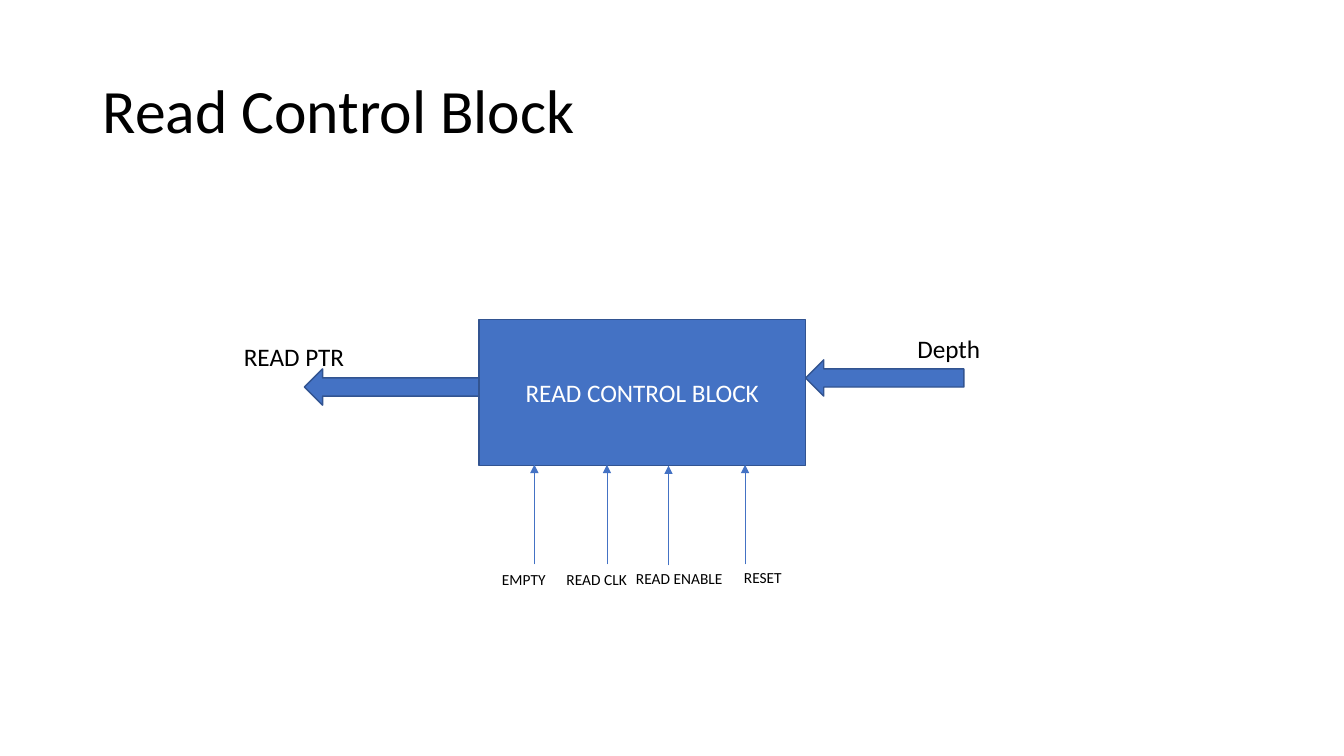
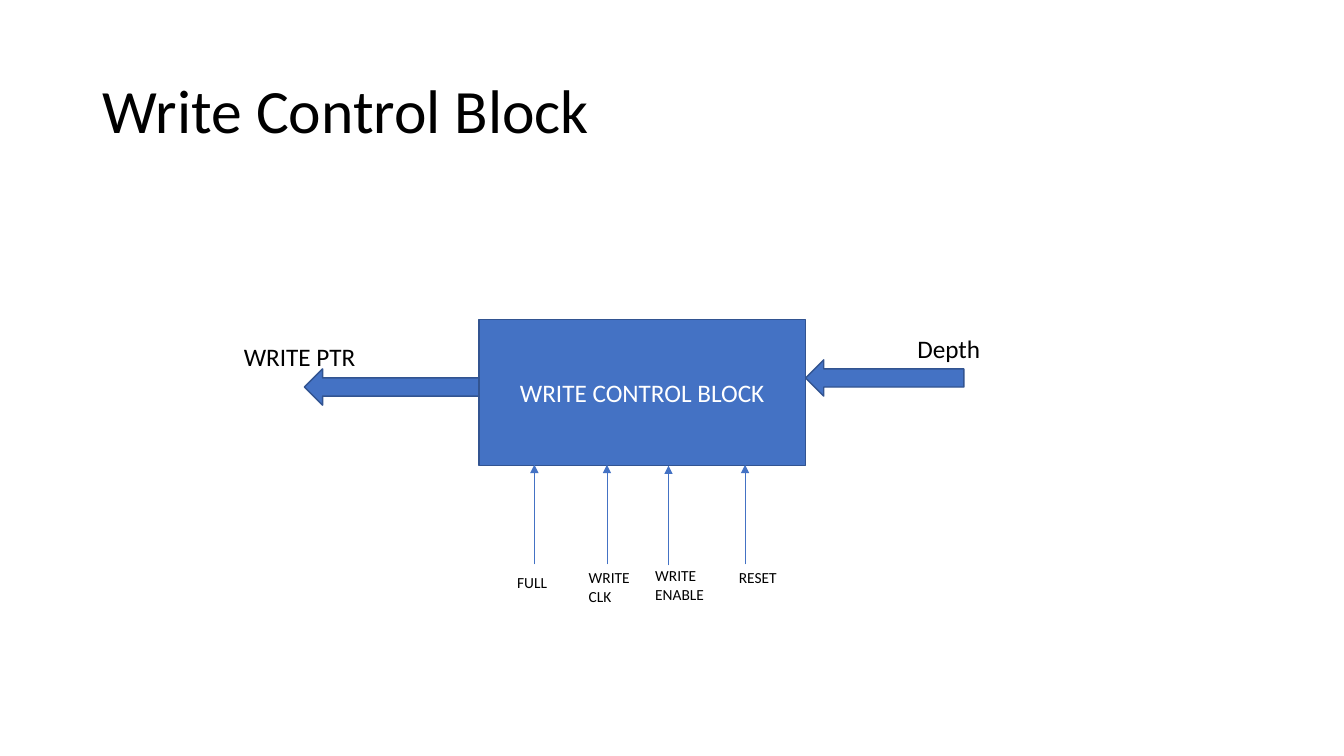
from dataclasses import dataclass

from lxml import etree
from pptx import Presentation
from pptx.dml.color import RGBColor
from pptx.enum.shapes import MSO_CONNECTOR, MSO_SHAPE
from pptx.enum.text import MSO_ANCHOR, MSO_AUTO_SIZE, PP_ALIGN
from pptx.oxml.ns import qn
from pptx.util import Emu, Pt

RECTANGLE = MSO_SHAPE.RECTANGLE
LEFT_ARROW = MSO_SHAPE.LEFT_ARROW
STRAIGHT = MSO_CONNECTOR.STRAIGHT
LEFT, CENTER = PP_ALIGN.LEFT, PP_ALIGN.CENTER
TOP, MIDDLE = MSO_ANCHOR.TOP, MSO_ANCHOR.MIDDLE
NO_FIT, GROW = MSO_AUTO_SIZE.NONE, MSO_AUTO_SIZE.SHAPE_TO_FIT_TEXT


@dataclass(frozen=True)
class Theme:
    font: str = "Calibri"
    fill: RGBColor = RGBColor(0x44, 0x72, 0xC4)
    outline: RGBColor = RGBColor(0x32, 0x54, 0x91)
    dark: RGBColor = RGBColor(0, 0, 0)
    light: RGBColor = RGBColor(255, 255, 255)
    title_size: int = 44
    body_size: int = 18
    signal_size: int = 11
    outline_width: float = 1
    signal_width: float = 0.5


THEME = Theme()
SLIDE_SIZE = (1333, 750)
TITLE_BOX = (92, 40, 1150, 145)
BLOCK_BOX = (475, 317, 324, 145)
OUTPUT_ARROW = (302, 366, 173, 36)
INPUT_ARROW = (799, 357, 157, 36)
OUTPUT_LABEL = (232, 334, 147, 40)
INPUT_LABEL = (900, 326, 115, 40)
SIGNALS = [(530, 461), (602, 461), (663, 462), (739, 461)]
SIGNAL_LENGTH = 99
SIGNAL_LABEL_WIDTHS = [106, 85, 110, 70]
LINE_HEIGHT = 29

SLIDES = [
    {
        "title": "Read Control Block",
        "block": "READ CONTROL BLOCK",
        "output": "READ PTR",
        "input": "Depth",
        "signals": [("EMPTY", 488, 561), ("READ CLK", 552, 561),
                    ("READ ENABLE", 621, 560), ("RESET", 728, 559)],
    },
    {
        "title": "Write Control Block",
        "block": "WRITE CONTROL BLOCK",
        "output": "WRITE PTR",
        "input": "Depth",
        "signals": [("FULL", 503, 564), ("WRITE CLK", 574, 559),
                    ("WRITE ENABLE", 640, 557), ("RESET", 723, 559)],
    },
]


def px(value):
    return Emu(value * 9144)


def scaled(box):
    return [px(value) for value in box]


def write(shape, text, size, color, alignment=LEFT, anchor=TOP, fit=NO_FIT):
    frame = shape.text_frame
    frame.text = text
    frame.word_wrap = True
    frame.auto_size = fit
    frame.vertical_anchor = anchor
    paragraph = frame.paragraphs[0]
    paragraph.alignment = alignment
    paragraph.font.name = THEME.font
    paragraph.font.size = Pt(size)
    paragraph.font.color.rgb = color
    return paragraph


def add_title(slide, text):
    title = slide.shapes.title
    title.left, title.top, title.width, title.height = scaled(TITLE_BOX)
    paragraph = write(title, text, THEME.title_size, THEME.dark, anchor=MIDDLE)
    paragraph.line_spacing = 0.9


def add_figure(slide, kind, box):
    shape = slide.shapes.add_shape(kind, *scaled(box))
    shape.shadow.inherit = False
    shape.fill.solid()
    shape.fill.fore_color.rgb = THEME.fill
    shape.line.color.rgb = THEME.outline
    shape.line.width = Pt(THEME.outline_width)
    return shape


def add_label(slide, text, box, size):
    label = slide.shapes.add_textbox(*scaled(box))
    write(label, text, size, THEME.dark, fit=GROW)


def add_signal_arrow(slide, x, tip):
    arrow = slide.shapes.add_connector(
        STRAIGHT, px(x), px(tip + SIGNAL_LENGTH), px(x), px(tip))
    arrow.line.color.rgb = THEME.fill
    arrow.line.width = Pt(THEME.signal_width)
    etree.SubElement(arrow.line._get_or_add_ln(), qn("a:tailEnd"), type="triangle")
    etree.SubElement(arrow._element.spPr, qn("a:effectLst"))


def add_block_slide(presentation, content):
    slide = presentation.slides.add_slide(presentation.slide_layouts[5])
    add_title(slide, content["title"])
    block = add_figure(slide, RECTANGLE, BLOCK_BOX)
    write(block, content["block"], THEME.body_size, THEME.light, CENTER, MIDDLE)
    for x, tip in SIGNALS:
        add_signal_arrow(slide, x, tip)
    for box in (OUTPUT_ARROW, INPUT_ARROW):
        add_figure(slide, LEFT_ARROW, box)
    add_label(slide, content["output"], OUTPUT_LABEL, THEME.body_size)
    add_label(slide, content["input"], INPUT_LABEL, THEME.body_size)
    for (text, left, top), width in zip(content["signals"], SIGNAL_LABEL_WIDTHS):
        add_label(slide, text, (left, top, width, LINE_HEIGHT), THEME.signal_size)


def main():
    presentation = Presentation()
    presentation.slide_width, presentation.slide_height = scaled(SLIDE_SIZE)
    for content in SLIDES:
        add_block_slide(presentation, content)
    presentation.save("out.pptx")


if __name__ == "__main__":
    main()
